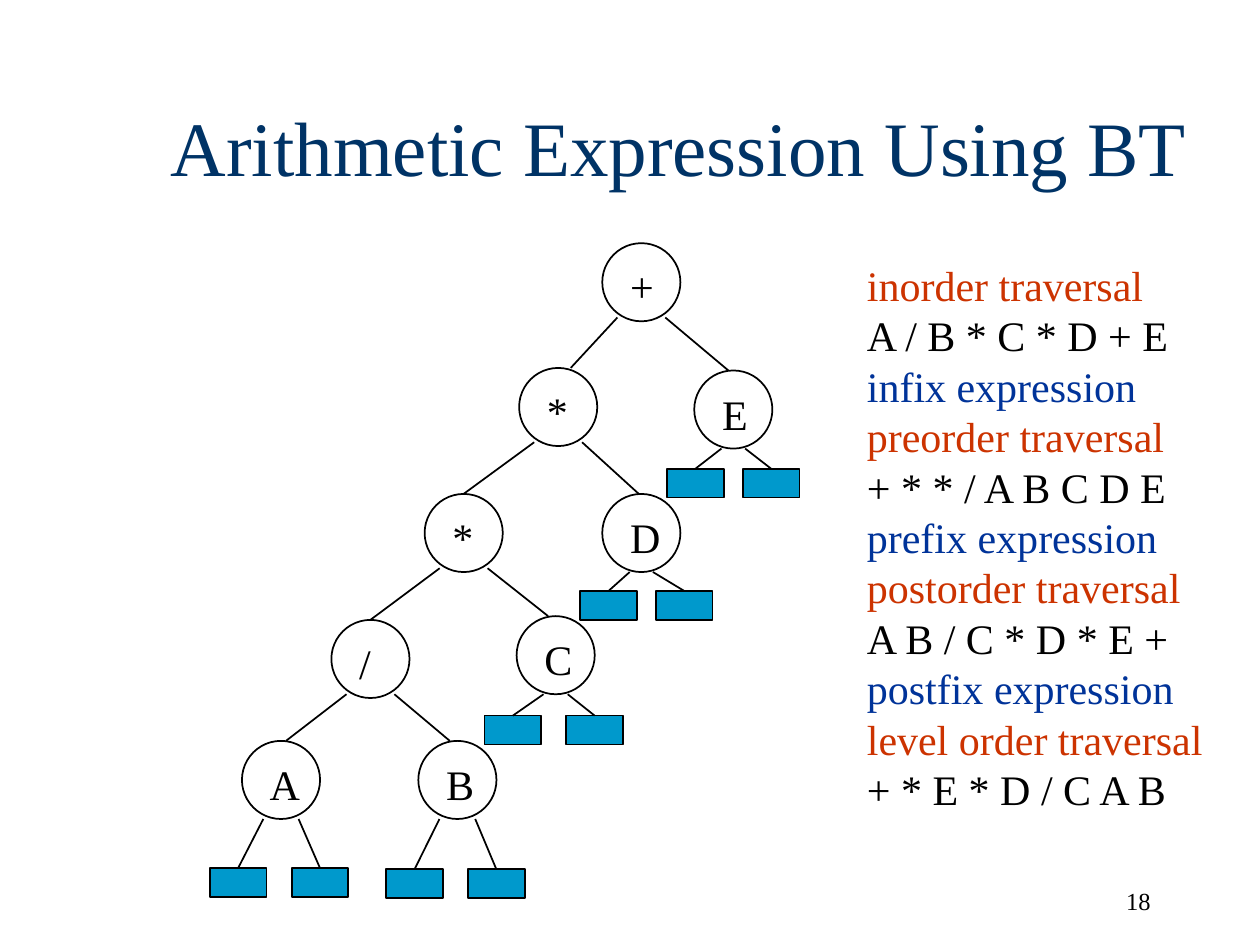
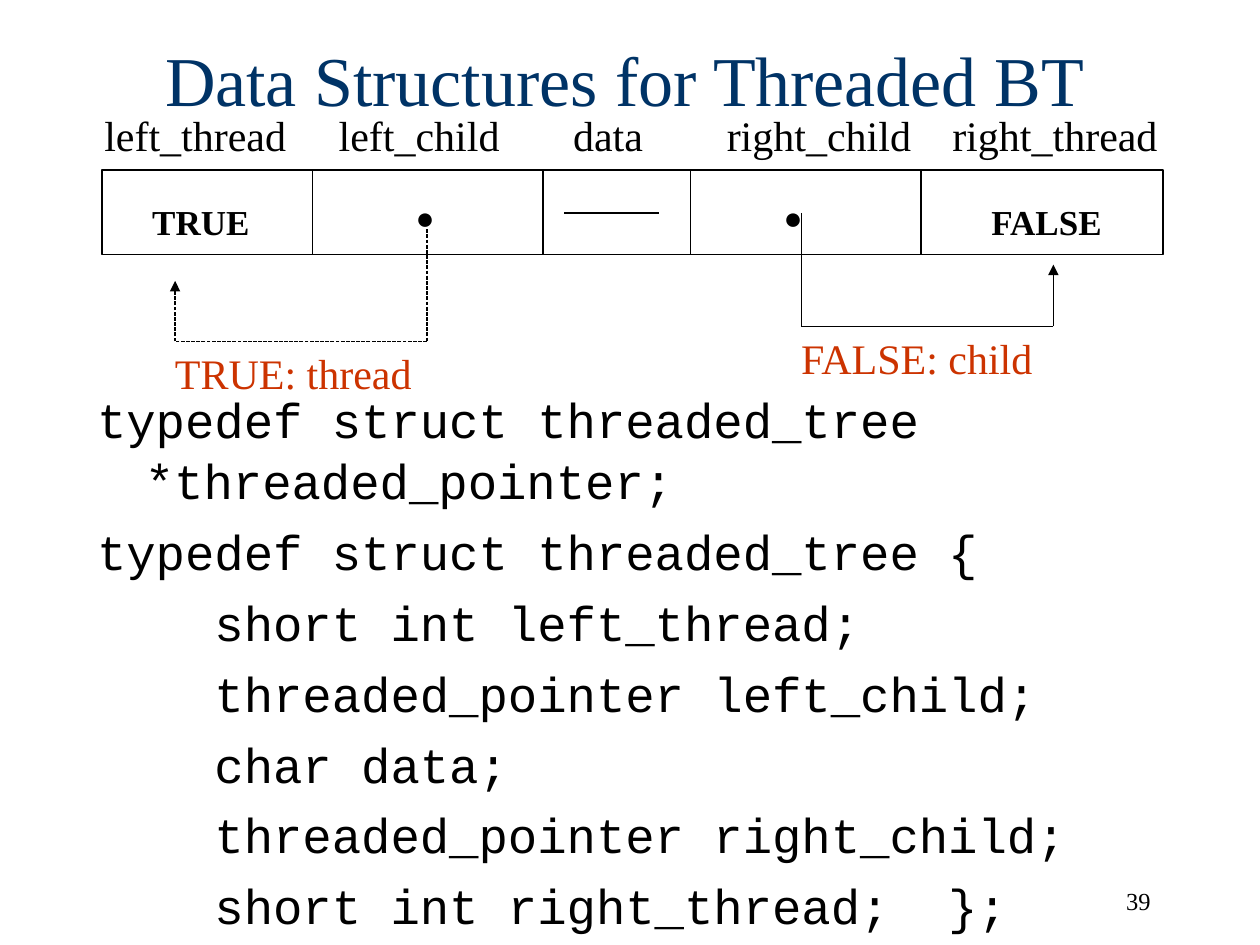
import itertools

import lxml.etree
import pptx
import pptx.dml.color
import pptx.enum.dml
import pptx.enum.shapes
import pptx.enum.text
import pptx.oxml.ns
import pptx.util

UNIT = pptx.util.Inches(0.1)
BLACK, NAVY, RED, BLUE, TEAL = "000000", "003366", "CC3300", "003399", "0099CC"
SERIF, CODE, SANS = "Times New Roman", "Courier New", "Arial"
ALIGN = pptx.enum.text.PP_ALIGN
ANCHOR = pptx.enum.text.MSO_ANCHOR
SHAPE = pptx.enum.shapes.MSO_SHAPE
TITLE = "title"

SIZE = 6.2
FORK, DIP, TIP = 1.9, 2.8, 3.1
LEAF = (4.5, 2.3)
NODES = {
    "root": ("+", 34.9, 3.4), "outer": ("*", 28.3, 13.3), "E": ("E", 42.2, 13.5),
    "inner": ("*", 20.8, 23.3), "D": ("D", 34.9, 23.3), "div": ("/", 13.4, 33.3),
    "C": ("C", 28.1, 33), "A": ("A", 6.3, 42.9), "B": ("B", 20.3, 42.9),
}
KIDS = {"root": (("outer", 1), ("E", -0.4)), "outer": (("inner", 0), ("D", -0.2)),
        "inner": (("div", 0), ("C", -0.6)), "div": (("A", 0.4), ("B", -0.6))}
LEAVES = {"A": (-3.4, 3.1, 7), "B": (-3.4, 3.1, 7.1), "C": (-3.4, 3.1, 4.8),
          "D": (-2.6, 3.4, 4.6), "E": (-3, 3, 4.7)}

ORDERS = [
    "inorder traversal", "A / B * C * D + E", "infix expression",
    "preorder traversal", "+ * * / A B C D E", "prefix expression",
    "postorder traversal", "A B / C * D * E +", "postfix expression",
    "level order traversal", "+ * E * D / C A B",
]
STRUCT = [
    "typedef struct threaded_tree *threaded_pointer;",
    "typedef struct threaded_tree {",
    "    short int left_thread;",
    "    threaded_pointer left_child;",
    "    char data;",
    "    threaded_pointer right_child;",
    "    short int right_thread;  };",
]
FIELDS = {"left_thread": -0.8, "left_child": 17.8, "data": 36.4,
          "right_child": 48.6, "right_thread": 66.5}


def paint(hue):
    """Return the colour of a hex string."""
    return pptx.dml.color.RGBColor.from_string(hue)


def grid(*cells):
    """Turn grid cells into lengths."""
    return [round(cell * UNIT) for cell in cells]


def write(frame, lines, size=24, font=SERIF, hues=(BLACK,), bold=False, align=ALIGN.LEFT,
          anchor=ANCHOR.TOP, wrap=True, pitch=1.2, gap=0, hang=0, pad=(1, 0.5, 1, 0.5)):
    """Fill a text frame with formatted lines, cycling through the hues."""
    frame.auto_size = pptx.enum.text.MSO_AUTO_SIZE.NONE
    frame.word_wrap = wrap
    frame.vertical_anchor = anchor
    (frame.margin_left, frame.margin_top,
     frame.margin_right, frame.margin_bottom) = grid(*pad)
    lines = [lines] if isinstance(lines, str) else lines
    for row, (line, hue) in enumerate(zip(lines, itertools.cycle(hues))):
        para = frame.add_paragraph() if row else frame.paragraphs[0]
        props = para._p.get_or_add_pPr()
        left = grid(hang)[0]
        props.set("marL", str(left))
        props.set("indent", str(-left))
        lxml.etree.SubElement(props, pptx.oxml.ns.qn("a:buNone"))
        para.alignment = align
        para.line_spacing = pptx.util.Pt(size * pitch)
        para.space_before = pptx.util.Pt(gap if row else 0)
        run = para.add_run()
        run.text = line
        run.font.name, run.font.size, run.font.bold = font, pptx.util.Pt(size), bold
        run.font.color.rgb = paint(hue)


def label(slide, box, text, **style):
    """Add a text box."""
    write(slide.shapes.add_textbox(*grid(*box)).text_frame, text, **style)


def fill(holder, box, text, **style):
    """Move a placeholder to a box and fill it."""
    holder.left, holder.top, holder.width, holder.height = grid(*box)
    write(holder.text_frame, text, **style)


def draw(slide, kind, box, hue=None, width=1):
    """Add an outlined shape."""
    shape = slide.shapes.add_shape(kind, *grid(*box))
    shape.shadow.inherit = False
    if hue:
        shape.fill.solid()
        shape.fill.fore_color.rgb = paint(hue)
    else:
        shape.fill.background()
    shape.line.color.rgb = paint(BLACK)
    shape.line.width = pptx.util.Pt(width)
    return shape


def link(slide, start, end, width=1, dash=None, head=False):
    """Add a straight line, with an arrowhead at its end if asked."""
    kind = pptx.enum.shapes.MSO_CONNECTOR.STRAIGHT
    line = slide.shapes.add_connector(kind, *grid(*start, *end))
    line.line.color.rgb = paint(BLACK)
    line.line.width = pptx.util.Pt(width)
    if dash:
        line.line.dash_style = dash
    if head:
        stroke = line.line._get_or_add_ln()
        lxml.etree.SubElement(stroke, pptx.oxml.ns.qn("a:tailEnd"), type="triangle")
    lxml.etree.SubElement(line._element.spPr, pptx.oxml.ns.qn("a:effectLst"))
    return line


def start(deck, title, box, number, **style):
    """Add a slide with its title and page number."""
    slide = deck.slides.add_slide(deck.slide_layouts[1])
    fill(slide.shapes.title, box, title, hues=[NAVY], anchor=ANCHOR.MIDDLE, **style)
    label(slide, (71.5, 69.8, 20.8, 5), number, size=14, align=ALIGN.RIGHT)
    return slide


def tree(slide, box):
    """Draw the expression tree with its empty leaves."""
    left, top = box[:2]
    spots = {key: (left + x, top + y) for key, (_, x, y) in NODES.items()}
    for key, (x, y) in spots.items():
        node = draw(slide, SHAPE.OVAL, (x - SIZE / 2, y - SIZE / 2, SIZE, SIZE))
        write(node.text_frame, NODES[key][0], pad=(1.3, 0.5, 0, 0))
    for key, kids in KIDS.items():
        x, y = spots[key]
        for side, (kid, shift) in zip((-FORK, FORK), kids):
            across, down = spots[kid]
            link(slide, (x + side, y + DIP), (across + shift, down - TIP))
    for key, (*sides, drop) in LEAVES.items():
        x, y = spots[key]
        for sign, side in zip((-1, 1), sides):
            leaf = draw(slide, SHAPE.RECTANGLE,
                        (x + side - LEAF[0] / 2, y + drop, *LEAF), TEAL)
            line = link(slide, (x + sign * drop / 5, y + TIP), (x + side, y + drop))
            line.end_connect(leaf, 0)


def bend(slide, points, note, dash=None):
    """Draw a three-part arrow with a note below it."""
    for step, (tail, tip) in enumerate(itertools.pairwise(points)):
        link(slide, tail, tip, 0.75, dash, head=step == 2)
    x, y = min(points[1][0], points[2][0]), points[1][1]
    label(slide, (x - 1, y, 20.8, 5), note, hues=[RED], wrap=False)


def record(slide, box):
    """Draw the node record with its field names, values and arrows."""
    left, top, wide, high = box
    draw(slide, SHAPE.RECTANGLE, box, width=0.75)
    for edge in (16.7, 35, 46.7, 65):
        link(slide, (left + edge, top), (left + edge, top + high), 0.75)
    link(slide, (left + 36.7, top + 3.4), (left + 44.2, top + 3.4), 0.75)
    for name, x in FIELDS.items():
        label(slide, (left + x, top - 5.3, 19, 5), name, wrap=False)
    for flag, x in (("TRUE", 3), ("FALSE", 69.6)):
        label(slide, (left + x, top + 1.9, 11, 4.4), flag, size=20, bold=True, wrap=False)
    for x in (23.9, 53.1):
        label(slide, (left + x, top + 1.7, 4.5, 4), "●", size=18, font=SANS, wrap=False)
    for begin, end, low, rise, tip, note, dash in (
            (25.8, 5.8, 13.6, 4.7, 8.8, "TRUE: thread",
             pptx.enum.dml.MSO_LINE.SQUARE_DOT),
            (55.5, 75.5, 12.4, 3.4, 7.5, "FALSE: child", None)):
        path = [(begin, rise), (begin, low), (end, low), (end, tip)]
        bend(slide, [(left + x, top + y) for x, y in path], note, dash)


def main():
    """Build and save the deck."""
    deck = pptx.Presentation()
    deck.slide_width, deck.slide_height = grid(100, 75)

    slide = start(deck, "Arithmetic Expression Using BT", (7.8, 5.3, 92.2, 12.5), "18",
                  size=44, align=ALIGN.CENTER)
    tree(slide, (16, 19, 48, 53))
    fill(slide.placeholders[1], (67.8, 20.1, 30, 45), ORDERS, hues=[RED, BLACK, BLUE])

    slide = start(deck, "Data Structures for Threaded BT", (12.1, 0, 76.5, 12.5), "39",
                  size=40)
    record(slide, (8.1, 13.5, 84.2, 6.7))
    fill(slide.placeholders[1], (6.7, 30.2, 93.3, 44.8), STRUCT, size=28, font=CODE,
         pitch=1.25, gap=5.5, hang=3.8)
    deck.save("out.pptx")


if __name__ == "__main__":
    main()
